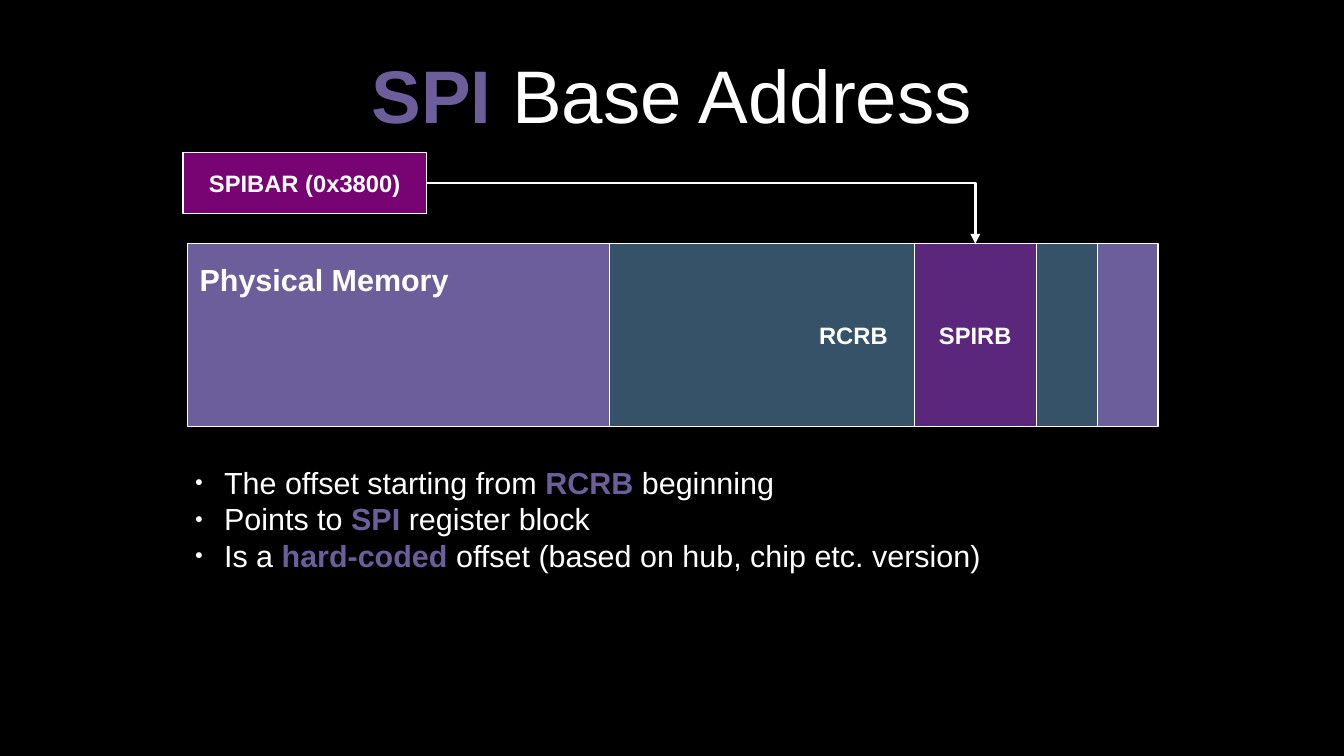
from lxml import etree
from pptx import Presentation
from pptx.dml.color import RGBColor
from pptx.enum.shapes import MSO_CONNECTOR, MSO_SHAPE
from pptx.enum.text import MSO_ANCHOR, MSO_AUTO_SIZE, PP_ALIGN
from pptx.oxml.ns import qn
from pptx.util import Cm, Pt

CENTER, LEFT = PP_ALIGN.CENTER, PP_ALIGN.LEFT
MIDDLE, TOP = MSO_ANCHOR.MIDDLE, MSO_ANCHOR.TOP
RECTANGLE, ELBOW = MSO_SHAPE.RECTANGLE, MSO_CONNECTOR.ELBOW
RIGHT_SITE, TOP_SITE = 3, 0
WHITE, BLACK, LAVENDER = "FFFFFF", "000000", "6B5E9B"
SLATE, VIOLET, MAGENTA = "355269", "5B277D", "780373"
INSET_X, INSET_Y = 0.25, 0.13
BULLET_INDENT = Cm(0.61)
UNIT = 2.54
FACTS = [
    [("The offset starting from ", False), ("RCRB", True), (" beginning", False)],
    [("Points to ", False), ("SPI", True), (" register block", False)],
    [("Is a ", False), ("hard-coded", True),
     (" offset (based on hub, chip etc. version)", False)],
]


def color(value):
    """Turn a hex string into a colour."""
    return RGBColor.from_string(value)


def apply_format(target, values):
    """Set each named attribute on the target."""
    for name, value in values.items():
        setattr(target, name, value)


def lengths(box):
    """Turn a box in centimetres into slide lengths."""
    return [Cm(round(value, 2)) for value in box]


def format_frame(frame, anchor, inset_x=INSET_X, inset_y=INSET_Y):
    """Set wrapping, anchor and insets of a text frame."""
    apply_format(frame, {
        "word_wrap": True, "auto_size": MSO_AUTO_SIZE.NONE, "vertical_anchor": anchor,
        "margin_left": Cm(inset_x), "margin_right": Cm(inset_x),
        "margin_top": Cm(inset_y), "margin_bottom": Cm(inset_y),
    })


def add_run(paragraph, text, size, hex_color=WHITE, bold=False):
    """Append one formatted run to a paragraph."""
    run = paragraph.add_run()
    run.text = text
    apply_format(run.font, {"name": "Arial", "size": Pt(size), "bold": bold})
    run.font.color.rgb = color(hex_color)


def add_title(slide, box):
    """Place and fill the title placeholder."""
    title = slide.shapes.title
    apply_format(title, dict(zip(("left", "top", "width", "height"), lengths(box))))
    format_frame(title.text_frame, MIDDLE, 0, 0)
    paragraph = title.text_frame.paragraphs[0]
    paragraph.alignment = CENTER
    add_run(paragraph, "SPI ", 44, LAVENDER, True)
    add_run(paragraph, "Base Address", 44)


def add_block(slide, box, fill, label="", size=14, alignment=CENTER, anchor=MIDDLE):
    """Draw an outlined rectangle with an optional bold label."""
    block = slide.shapes.add_shape(RECTANGLE, *lengths(box))
    block.shadow.inherit = False
    block.fill.solid()
    block.fill.fore_color.rgb = color(fill)
    block.line.color.rgb = color(WHITE)
    block.line.width = Pt(0.79)
    format_frame(block.text_frame, anchor)
    if label:
        paragraph = block.text_frame.paragraphs[0]
        paragraph.alignment = alignment
        add_run(paragraph, label, size, bold=True)
    return block


def add_memory_map(slide, box):
    """Draw physical memory with its nested register blocks."""
    left, top, width, height = box
    right = left + width
    add_block(slide, box, LAVENDER)
    label = slide.shapes.add_textbox(*lengths((left, top + 0.23, 2.5 * UNIT, 1.68)))
    format_frame(label.text_frame, TOP)
    add_run(label.text_frame.paragraphs[0], "Physical Memory", 18, bold=True)
    add_block(slide, (right - 4.5 * UNIT, top, 4 * UNIT, height), SLATE, "RCRB")
    return add_block(slide, (right - 2 * UNIT, top, UNIT, height), VIOLET, "SPIRB")


def add_pointer(slide, source, target):
    """Connect the source's right side to the target's top with an arrow."""
    pointer = slide.shapes.add_connector(ELBOW, 0, 0, 0, 0)
    pointer.begin_connect(source, RIGHT_SITE)
    pointer.end_connect(target, TOP_SITE)
    pointer.line.color.rgb = color(WHITE)
    pointer.line.width = Pt(1.5)
    properties = pointer._element.spPr
    properties.find(qn("a:prstGeom")).set("prst", "bentConnector2")
    etree.SubElement(properties.find(qn("a:ln")), qn("a:tailEnd"), type="triangle")
    etree.SubElement(properties, qn("a:effectLst"))


def add_bullet(paragraph):
    """Give a paragraph a small white hanging bullet."""
    properties = paragraph._p.get_or_add_pPr()
    properties.set("marL", str(BULLET_INDENT))
    properties.set("indent", str(-BULLET_INDENT))
    bullet_color = etree.SubElement(properties, qn("a:buClr"))
    etree.SubElement(bullet_color, qn("a:srgbClr"), val=WHITE)
    etree.SubElement(properties, qn("a:buSzPct"), val="45000")
    etree.SubElement(properties, qn("a:buFont"), typeface="Arial")
    etree.SubElement(properties, qn("a:buChar"), char="●")


def add_facts(slide, box):
    """Write the bulleted facts with highlighted terms."""
    frame = slide.shapes.add_textbox(*lengths(box)).text_frame
    format_frame(frame, TOP)
    for index, fact in enumerate(FACTS):
        paragraph = frame.add_paragraph() if index else frame.paragraphs[0]
        paragraph.alignment = LEFT
        add_bullet(paragraph)
        for text, highlighted in fact:
            add_run(paragraph, text, 18, LAVENDER if highlighted else WHITE, highlighted)


def build_slide(presentation):
    """Compose the base address slide."""
    slide = presentation.slides.add_slide(presentation.slide_layouts.get_by_name("Title Only"))
    slide.background.fill.solid()
    slide.background.fill.fore_color.rgb = color(BLACK)
    add_title(slide, (1.4, 0.64, 25.2, 2.64))
    register_block = add_memory_map(slide, (3.91, 5.08, 20.22, 3.81))
    add_facts(slide, (3.81, 9.53, 17.78, 3.81))
    base_register = add_block(slide, (3.81, 3.18, 5.08, 1.27), MAGENTA, "SPIBAR (0x3800)")
    add_pointer(slide, base_register, register_block)


def main():
    """Build and save the presentation."""
    presentation = Presentation()
    apply_format(presentation, {"slide_width": Cm(28), "slide_height": Cm(15.75)})
    build_slide(presentation)
    presentation.save("out.pptx")


main()
